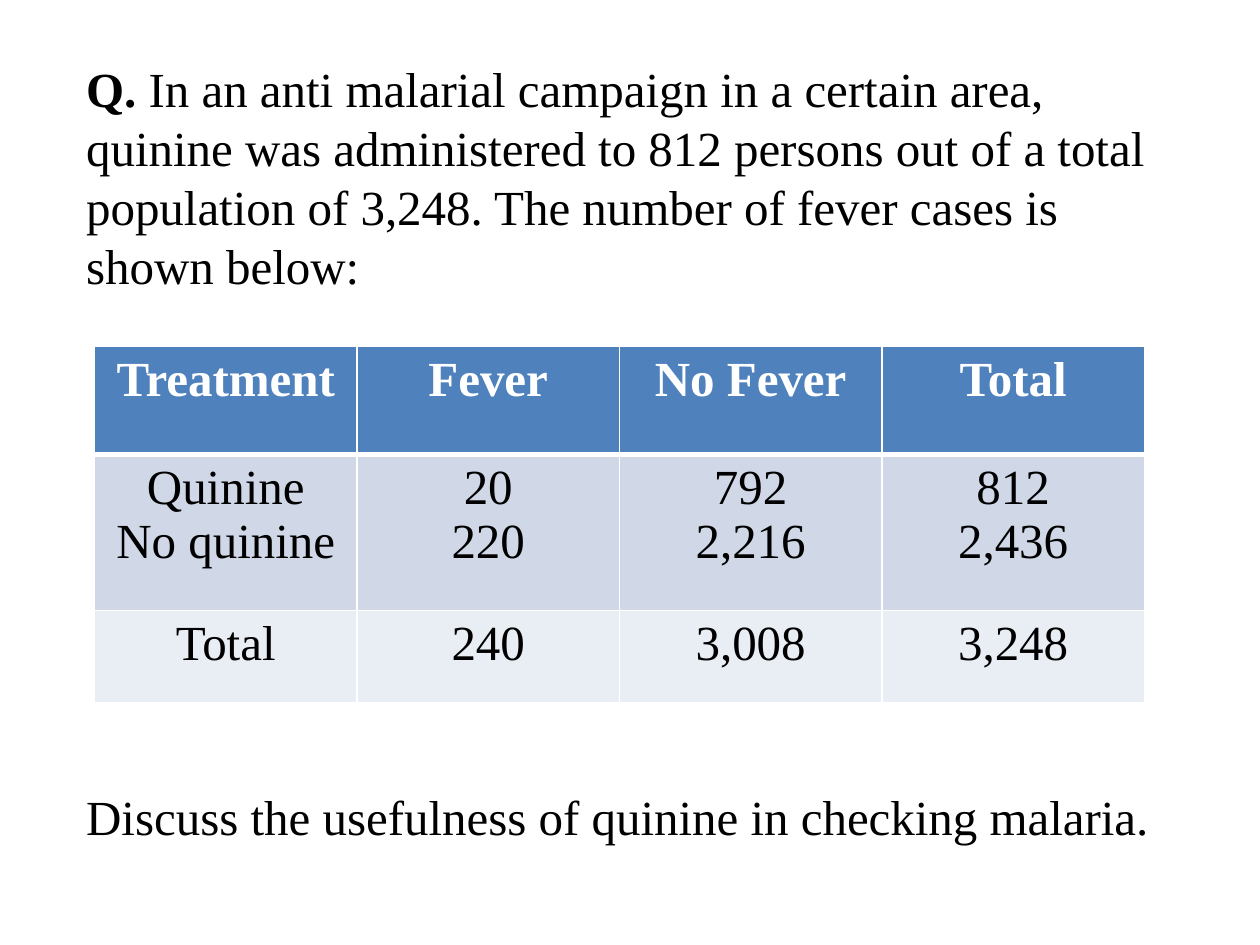
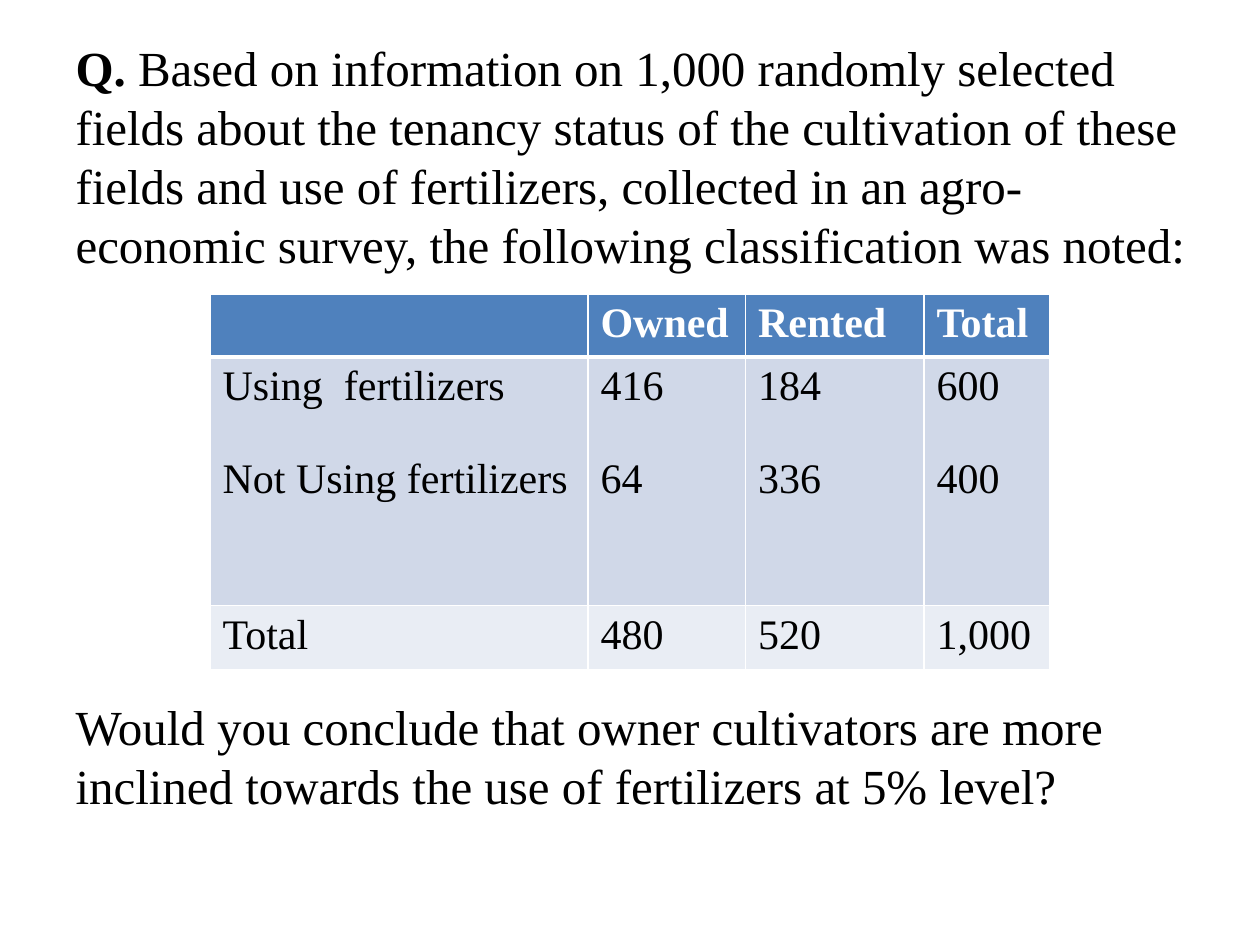
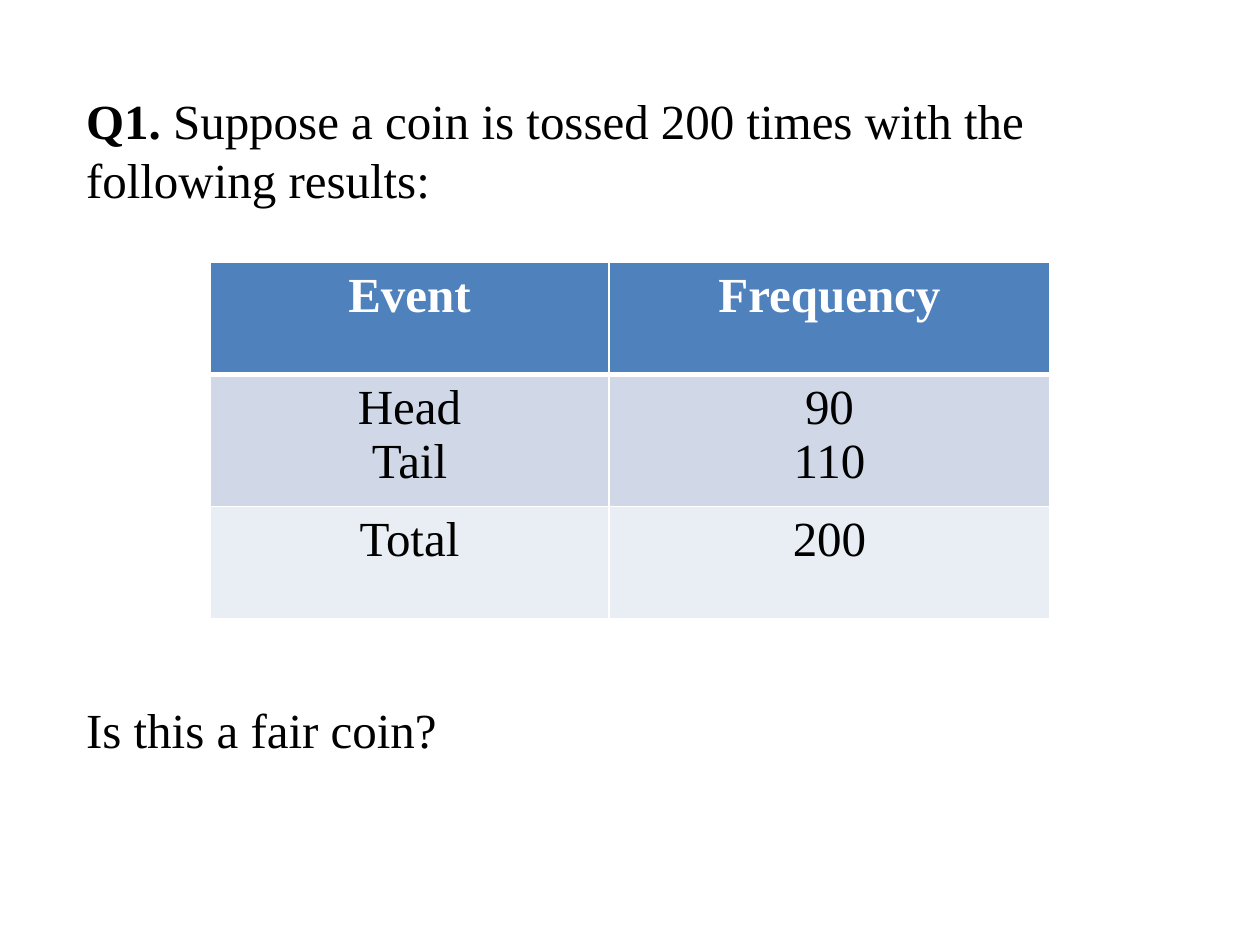
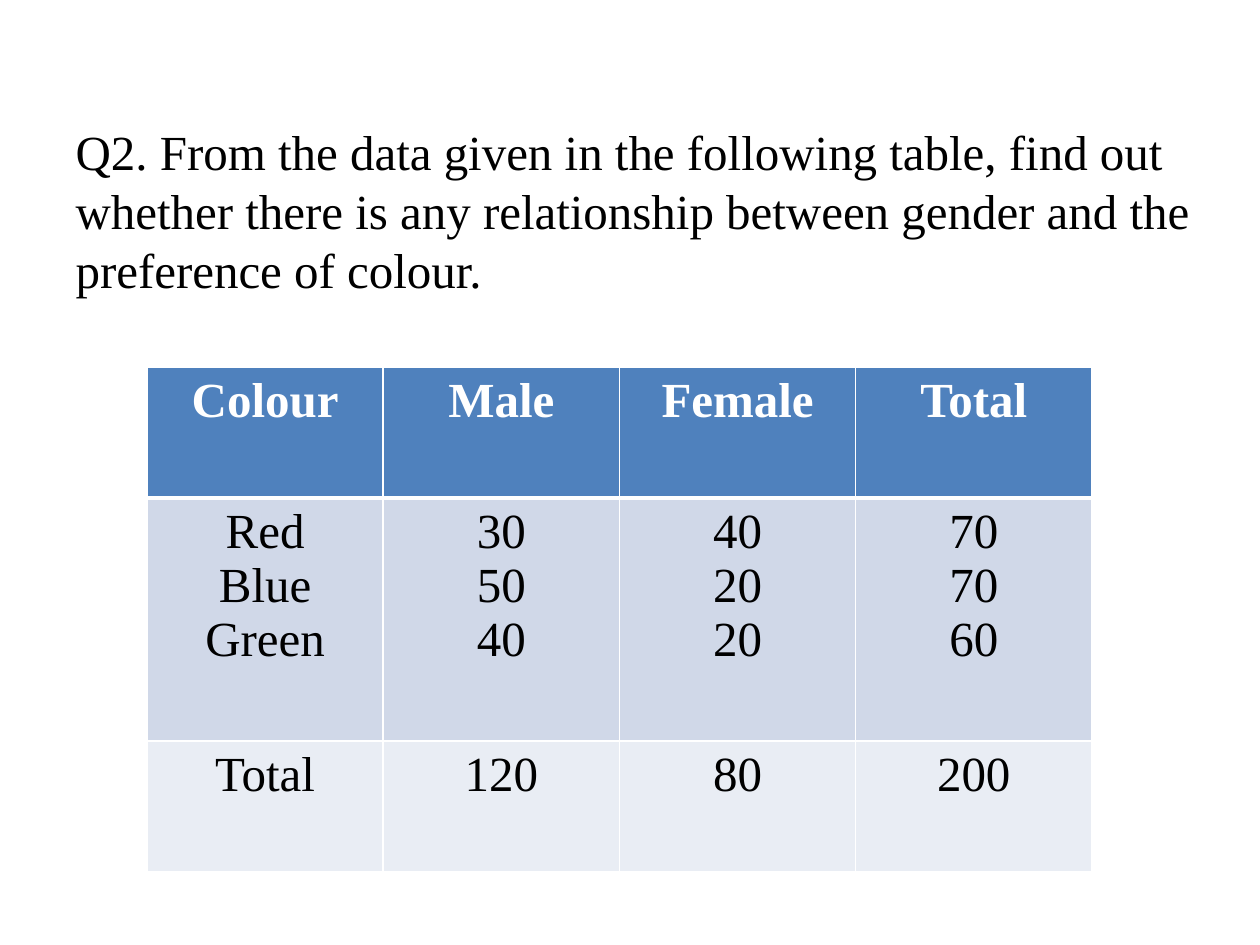
"""Build four statistics exercises, each a question with a table of counts."""
from dataclasses import dataclass
from typing import Any

from lxml.etree import SubElement
from pptx import Presentation
from pptx.dml.color import RGBColor
from pptx.enum.text import MSO_AUTO_SIZE, PP_ALIGN
from pptx.oxml.ns import qn
from pptx.util import Pt

FONT = "Times New Roman"
BLACK, WHITE = "000000", "FFFFFF"
ROW_FILLS = ("4F81BD", "D0D8E8", "E9EDF4")
TEXT_SIZE = 28
LINE_HEIGHT = 33.7
PARAGRAPH_GAP = 5.6
THIN, THICK = 1, 3


@dataclass(frozen=True)
class CountTable:
    left: float
    top: float
    widths: tuple[float, ...]
    heights: tuple[float, ...]
    rows: tuple[tuple[str, ...], ...]
    size: float = TEXT_SIZE
    align: Any = PP_ALIGN.CENTER
    line_gap: float = 0


@dataclass(frozen=True)
class Exercise:
    frame: tuple[float, float, float, float]
    label: str
    question: str
    table: CountTable
    task: str = ""
    skipped_lines: int = 0


EXERCISES = (
    Exercise(
        (42, 30, 642, 498), "Q. ",
        "In an anti malarial campaign in a certain area, quinine was administered to 812 persons "
        "out of a total population of 3,248. The number of fever cases is shown below:",
        CountTable(54, 198, (150,) * 4, (61.8, 89, 53), (
            ("Treatment", "Fever", "No Fever", "Total"),
            ("Quinine\nNo quinine", "20\n220", "792\n2,216", "812\n2,436"),
            ("Total", "240", "3,008", "3,248"))),
        "Discuss the usefulness of quinine in checking malaria.", 7),
    Exercise(
        (36, 18, 654, 498), "Q. ",
        "Based on information on 1,000 randomly selected fields about the tenancy status of the "
        "cultivation of these fields and use of fertilizers, collected in an agro-economic survey, "
        "the following classification was noted:",
        CountTable(120, 168, (216, 90, 102, 72), (36, 142, 37), (
            ("", "Owned", "Rented", "Total"),
            ("Using  fertilizers\nNot Using fertilizers", "416\n64", "184\n336", "600\n400"),
            ("Total", "480", "520", "1,000")),
            size=24, align=PP_ALIGN.LEFT, line_gap=26.6),
        "Would you conclude that owner cultivators are more inclined towards the use of "
        "fertilizers at 5% level?", 6),
    Exercise(
        (42, 48, 606, 434), "Q1. ",
        "Suppose a coin is tossed 200 times with the following results:",
        CountTable(120, 150, (228, 252), (64, 75.6, 64), (
            ("Event", "Frequency"), ("Head\nTail", "90\n110"), ("Total", "200"))),
        "Is this a fair coin?", 7),
    Exercise(
        (36, 66, 660, 416), "",
        "Q2. From the data given in the following table, find out whether there is any "
        "relationship between gender and the preference of colour.",
        CountTable(84, 210, (135,) * 4, (74.6, 139, 74.6), (
            ("Colour", "Male", "Female", "Total"),
            ("Red\nBlue\nGreen", "30\n50\n40", "40\n20\n20", "70\n70\n60"),
            ("Total", "120", "80", "200")))),
)


def color(value: str) -> RGBColor:
    """Turn a hex string into a colour."""
    return RGBColor.from_string(value)


def apply(target: Any, values: dict[str, Any]) -> None:
    """Set each named attribute of the target."""
    for name, value in values.items():
        setattr(target, name, value)


def add_span(para: Any, text: str, size: float, tint: str, bold: bool = False) -> None:
    """Add a formatted run to a paragraph."""
    span = para.add_run()
    span.text = text
    apply(span.font, {"name": FONT, "size": Pt(size), "bold": bold})
    span.font.color.rgb = color(tint)


def add_body_paragraph(para: Any, spans: list[tuple[str, bool]], gap: float) -> None:
    """Fill an unbulleted body paragraph with spans."""
    apply(para, {"space_before": Pt(gap), "line_spacing": Pt(LINE_HEIGHT),
                 "alignment": PP_ALIGN.LEFT})
    properties = para._p.get_or_add_pPr()
    for name in ("marL", "indent"):
        properties.set(name, "0")
    SubElement(properties, qn("a:buNone"))
    for text, bold in spans:
        add_span(para, text, TEXT_SIZE, BLACK, bold)


def write_question(page: Any, exercise: Exercise) -> None:
    """Put the question and its task in the body placeholder."""
    box = page.placeholders[1]
    for name, length in zip(("left", "top", "width", "height"), exercise.frame):
        setattr(box, name, Pt(length))
    frame = box.text_frame
    apply(frame, {"word_wrap": True, "auto_size": MSO_AUTO_SIZE.NONE})
    spans = [(exercise.label, True)] if exercise.label else []
    add_body_paragraph(frame.paragraphs[0], spans + [(exercise.question, False)], 0)
    if exercise.task:
        gap = exercise.skipped_lines * (LINE_HEIGHT + PARAGRAPH_GAP) + PARAGRAPH_GAP
        add_body_paragraph(frame.add_paragraph(), [(exercise.task, False)], round(gap, 1))


def set_borders(cell: Any, row: int) -> None:
    """Draw white borders, with a thick one under the header."""
    properties = cell._tc.get_or_add_tcPr()
    widths = {"L": THIN, "R": THIN, "T": THICK if row == 1 else THIN,
              "B": THICK if row == 0 else THIN}
    for side, width in widths.items():
        line = SubElement(properties, qn(f"a:ln{side}"), w=str(Pt(width)))
        SubElement(SubElement(line, qn("a:solidFill")), qn("a:srgbClr"), val=WHITE)


def fill_cell(cell: Any, text: str, row: int, design: CountTable) -> None:
    """Format a cell and write one paragraph per line of text."""
    set_borders(cell, row)
    cell.fill.solid()
    cell.fill.fore_color.rgb = color(ROW_FILLS[row])
    if not text:
        return
    header = row == 0
    frame = cell.text_frame
    for index, line in enumerate(text.split("\n")):
        para = frame.add_paragraph() if index else frame.paragraphs[0]
        apply(para, {"alignment": design.align,
                     "space_before": Pt(design.line_gap if index else 0)})
        add_span(para, line, design.size, WHITE if header else BLACK, header)


def draw_table(page: Any, design: CountTable) -> None:
    """Add the table of counts."""
    table = page.shapes.add_table(
        len(design.heights), len(design.widths), Pt(design.left), Pt(design.top),
        Pt(sum(design.widths)), Pt(sum(design.heights))).table
    table.horz_banding = False
    for column, width in zip(table.columns, design.widths):
        column.width = Pt(width)
    for row, (height, texts) in enumerate(zip(design.heights, design.rows)):
        table.rows[row].height = Pt(height)
        for column, text in enumerate(texts):
            fill_cell(table.cell(row, column), text, row, design)


def main() -> None:
    """Build and save the deck."""
    deck = Presentation()
    apply(deck, {"slide_width": Pt(720), "slide_height": Pt(540)})
    for exercise in EXERCISES:
        page = deck.slides.add_slide(deck.slide_layouts[1])
        title = page.shapes.title._element
        title.getparent().remove(title)
        write_question(page, exercise)
        draw_table(page, exercise.table)
    deck.save("out.pptx")


if __name__ == "__main__":
    main()
